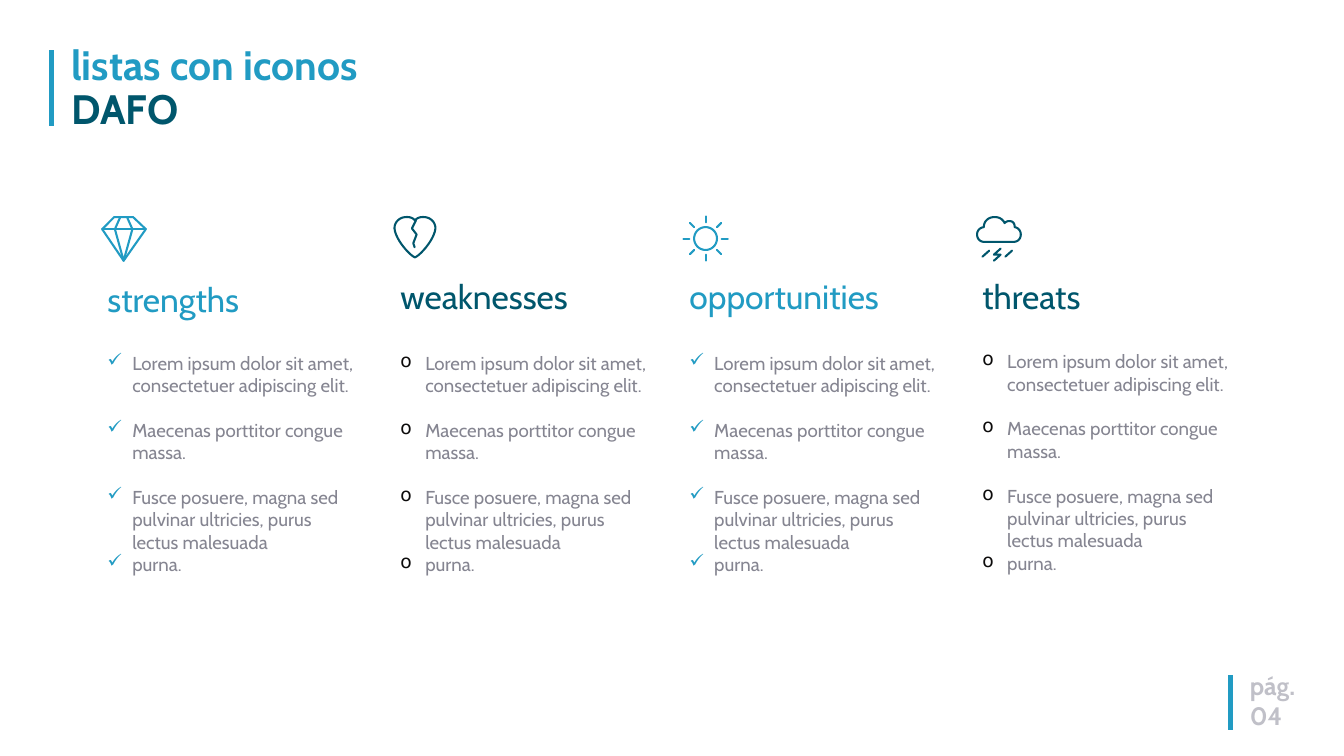
from dataclasses import dataclass
from math import cos, pi, sin

from lxml import etree
from pptx import Presentation
from pptx.dml.color import RGBColor
from pptx.enum.shapes import MSO_CONNECTOR
from pptx.oxml.ns import qn
from pptx.slide import Slide
from pptx.text.text import _Paragraph as Paragraph
from pptx.util import Inches, Pt

STRAIGHT = MSO_CONNECTOR.STRAIGHT

Point = tuple[float, float]
Stroke = list[Point]


@dataclass(frozen=True)
class Theme:
    font: str = "Cabin"
    blue: str = "219BC3"
    teal: str = "00566C"
    body: str = "858591"
    page: str = "C0C0C8"
    black: str = "0C0B0B"
    title_size: float = 44
    heading_size: float = 36
    page_size: float = 27
    body_size: float = 20
    bar_width: float = 5
    icon_width: float = 2.2


THEME = Theme()


@dataclass(frozen=True)
class TextStyle:
    size: float
    color: str
    bold: bool = False


@dataclass(frozen=True)
class Column:
    heading: str
    left: float
    heading_top: float
    list_top: float
    color: str
    bullet: str
    bullet_color: str
    icon: list[Stroke]


# Icon outlines, in inches from the icon's top left corner
def curve(start: Point, *segments: tuple[Point, Point, Point]) -> Stroke:
    """Trace cubic Bezier segments as a fine polyline."""
    steps = 12
    points = [start]
    for first, second, end in segments:
        origin = points[-1]
        for step in range(1, steps + 1):
            t = step / steps
            weights = ((1 - t) ** 3, 3 * t * (1 - t) ** 2, 3 * t**2 * (1 - t), t**3)
            corners = (origin, first, second, end)
            points.append((sum(w * c[0] for w, c in zip(weights, corners)),
                           sum(w * c[1] for w, c in zip(weights, corners))))
    return points


def diamond_icon() -> list[Stroke]:
    left, right, tip = (0.02, 0.2), (0.67, 0.2), (0.34, 0.67)
    return [
        [left, (0.2, 0.02), (0.48, 0.02), right, tip, left],
        [left, right],
        [(0.29, 0.02), (0.21, 0.2), tip, (0.47, 0.2), (0.39, 0.02)],
    ]


def broken_heart_icon() -> list[Stroke]:
    width = 0.63
    right_half = curve(
        (width / 2, 0.07),
        ((0.35, 0.03), (0.39, 0.02), (0.44, 0.02)),
        ((0.54, 0.02), (0.62, 0.09), (0.62, 0.19)),
        ((0.6, 0.37), (0.38, 0.6), (width / 2, 0.62)),
    )
    left_half = [(width - x, y) for x, y in reversed(right_half)]
    crack = [(0.33, 0.07), (0.27, 0.19), (0.34, 0.28), (0.29, 0.41), (0.31, 0.47)]
    return [right_half + left_half, crack]


def sun_icon() -> list[Stroke]:
    def polar(radius: float, turn: float) -> Point:
        return (0.34 + radius * cos(2 * pi * turn), 0.34 + radius * sin(2 * pi * turn))

    disc = [polar(0.17, step / 48) for step in range(49)]
    rays = [[polar(0.24, ray / 8), polar(0.33, ray / 8)] for ray in range(8)]
    return [disc, *rays]


def storm_icon() -> list[Stroke]:
    cloud = curve(
        (0.56, 0.39),
        ((0.63, 0.39), (0.67, 0.34), (0.67, 0.28)),
        ((0.67, 0.22), (0.63, 0.18), (0.58, 0.17)),
        ((0.58, 0.11), (0.55, 0.08), (0.5, 0.08)),
        ((0.47, 0.08), (0.45, 0.09), (0.43, 0.11)),
        ((0.4, 0.05), (0.35, 0.02), (0.28, 0.02)),
        ((0.19, 0.02), (0.12, 0.08), (0.12, 0.17)),
        ((0.05, 0.18), (0.02, 0.23), (0.02, 0.28)),
        ((0.02, 0.34), (0.06, 0.39), (0.13, 0.39)),
    )
    bolt = [(0.37, 0.49), (0.27, 0.58), (0.37, 0.58), (0.27, 0.67)]
    rain = [[(x, 0.52), (x - 0.1, 0.61)] for x in (0.2, 0.54)]
    return [cloud + cloud[:1], bolt, *rain]


# Content
ITEMS = [
    "Lorem ipsum dolor sit amet, consectetuer adipiscing elit.",
    "Maecenas porttitor congue massa.",
    "Fusce posuere, magna sed pulvinar ultricies, purus lectus malesuada",
    "purna.",
]
SPACED_ITEMS = 2
COLUMNS = [
    Column("strengths", 1.5, 4.1, 5.18, THEME.blue, "✓", THEME.blue, diamond_icon()),
    Column("weaknesses", 5.86, 4.06, 5.18, THEME.teal, "o", THEME.black, broken_heart_icon()),
    Column("opportunities", 10.16, 4.05, 5.18, THEME.blue, "✓", THEME.blue, sun_icon()),
    Column("threats", 14.52, 4.05, 5.16, THEME.teal, "o", THEME.black, storm_icon()),
]


# Drawing functions
def add_text(slide: Slide, left: float, top: float, width: float, height: float,
             lines: list[tuple[str, TextStyle]]) -> list[Paragraph]:
    shape = slide.shapes.add_textbox(Inches(left), Inches(top), Inches(width), Inches(height))
    frame = shape.text_frame
    frame.word_wrap = True
    frame.text = "\n".join(text for text, _ in lines)
    for paragraph, (_, style) in zip(frame.paragraphs, lines):
        font = paragraph.font
        font.name = THEME.font
        font.size = Pt(style.size)
        font.bold = style.bold
        font.color.rgb = RGBColor.from_string(style.color)
    return list(frame.paragraphs)


def add_bullet(paragraph: Paragraph, character: str, color: str) -> None:
    properties = paragraph._p.get_or_add_pPr()
    properties.set("marL", str(Inches(0.37)))
    properties.set("indent", str(Inches(-0.37)))
    bullet_color = etree.Element(qn("a:buClr"))
    etree.SubElement(bullet_color, qn("a:srgbClr"), val=color)
    bullet = etree.Element(qn("a:buChar"), char=character)
    # Bullet settings precede the default run properties
    defaults = properties.find(qn("a:defRPr"))
    defaults.addprevious(bullet_color)
    defaults.addprevious(bullet)


def add_bar(slide: Slide, x: float, top: float, bottom: float) -> None:
    bar = slide.shapes.add_connector(STRAIGHT, Inches(x), Inches(top), Inches(x), Inches(bottom))
    bar.line.color.rgb = RGBColor.from_string(THEME.blue)
    bar.line.width = Pt(THEME.bar_width)
    etree.SubElement(bar._element.spPr, qn("a:effectLst"))


def add_icon(slide: Slide, left: float, top: float, strokes: list[Stroke], color: str) -> None:
    placed = [[(Inches(left + x), Inches(top + y)) for x, y in stroke] for stroke in strokes]
    builder = slide.shapes.build_freeform(*placed[0][0])
    for index, (start, *rest) in enumerate(placed):
        if index:
            builder.move_to(*start)
        builder.add_line_segments(rest, close=False)
    icon = builder.convert_to_shape()
    icon.shadow.inherit = False
    icon.fill.background()
    icon.line.color.rgb = RGBColor.from_string(color)
    icon.line.width = Pt(THEME.icon_width)
    outline = icon._element.spPr.find(qn("a:ln"))
    outline.set("cap", "rnd")
    etree.SubElement(outline, qn("a:round"))


def add_column(slide: Slide, column: Column) -> None:
    add_text(slide, column.left, column.heading_top, 4.04, 0.7,
             [(column.heading, TextStyle(THEME.heading_size, column.color))])
    add_icon(slide, column.left, 3.21, column.icon, column.color)
    body = TextStyle(THEME.body_size, THEME.body)
    paragraphs = add_text(slide, column.left, column.list_top, 3.92, 3.77,
                          [(item, body) for item in ITEMS])
    for index, paragraph in enumerate(paragraphs):
        if index < SPACED_ITEMS:
            paragraph.space_after = Pt(24)
        add_bullet(paragraph, column.bullet, column.bullet_color)


def main() -> None:
    presentation = Presentation()
    presentation.slide_width = Inches(20)
    presentation.slide_height = Inches(11.25)
    slide = presentation.slides.add_slide(presentation.slide_layouts[6])

    # Title
    add_bar(slide, 0.77, 0.75, 1.88)
    title = add_text(slide, 0.96, 0.62, 5.96, 1.45, [
        ("listas con iconos", TextStyle(THEME.title_size, THEME.blue, True)),
        ("DAFO", TextStyle(THEME.title_size, THEME.teal, True)),
    ])
    for paragraph in title:
        paragraph.line_spacing = 0.9

    # Four lists
    for column in COLUMNS:
        add_column(slide, column)

    # Page number
    add_bar(slide, 18.31, 10.05, 10.86)
    page = TextStyle(THEME.page_size, THEME.page, True)
    add_text(slide, 18.5, 9.92, 1.9, 1.06, [("pág.", page), ("04", page)])

    presentation.save("out.pptx")


if __name__ == "__main__":
    main()
